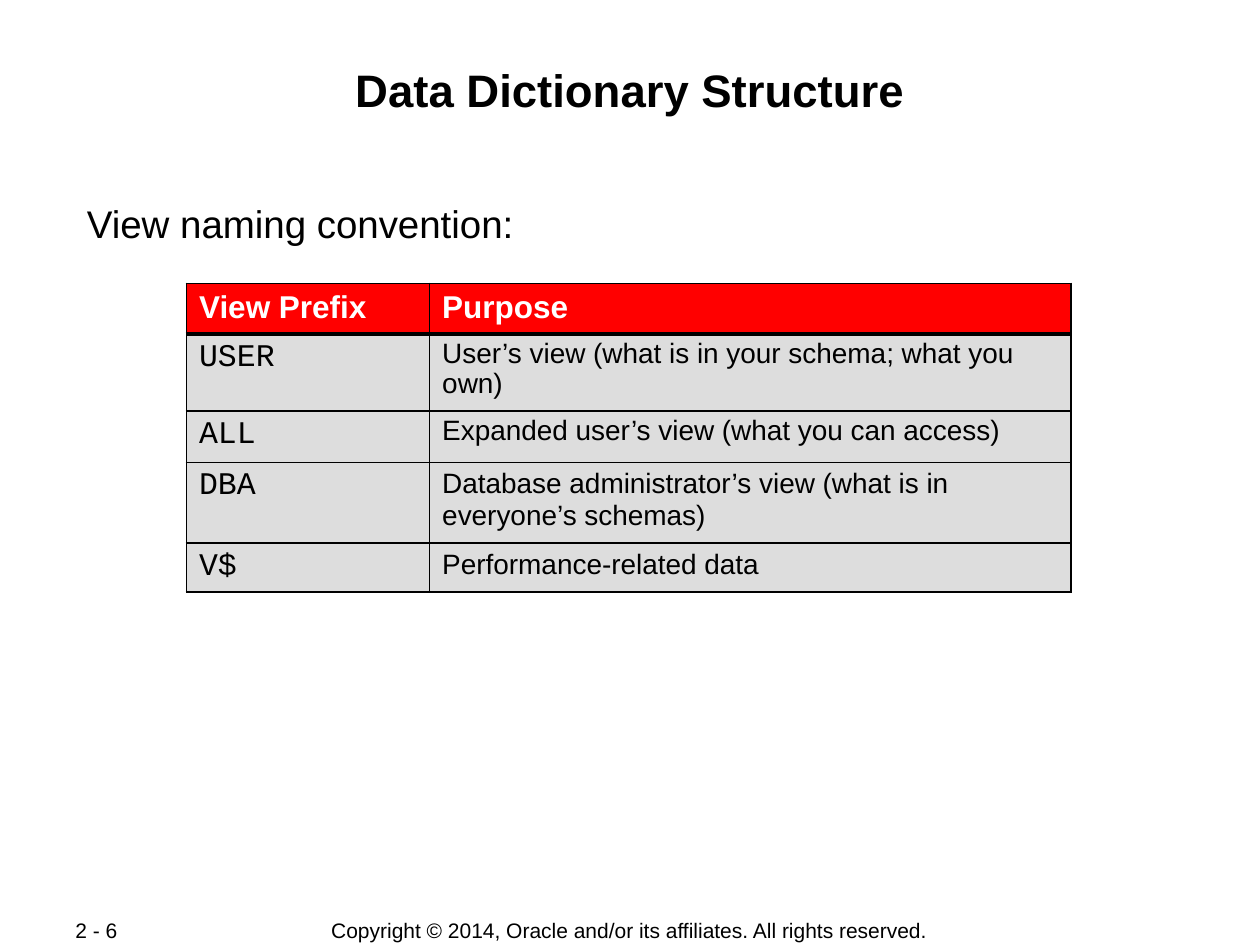
import pptx
import pptx.dml.color
import pptx.enum.text
import pptx.oxml
import pptx.oxml.ns
import pptx.util

Inches = pptx.util.Inches
Pt = pptx.util.Pt
Align = pptx.enum.text.PP_ALIGN
Anchor = pptx.enum.text.MSO_ANCHOR

BLACK = "000000"
WHITE = "FFFFFF"
RED = "FF0000"
GREY = "DDDDDD"
COPYRIGHT = "Copyright © 2014, Oracle and/or its affiliates. All rights reserved."
VIEWS = [
    ("USER", "User’s view (what is in your schema; what you own)", 0.95),
    ("ALL", "Expanded user’s view (what you can access)", 0.95),
    ("DBA", "Database administrator’s view (what is in everyone’s schemas)", 1.0),
    ("V$", "Performance-related data", 1.0),
]


def color(value):
    return pptx.dml.color.RGBColor.from_string(value)


class SlideBuilder:
    body_font = "Arial"
    code_font = "Courier New"

    def __init__(self, slide):
        self.slide = slide

    def add_run(self, paragraph, text, size, font=body_font, fill=BLACK, bold=False):
        run = paragraph.add_run()
        run.text = text
        run.font.name = font
        run.font.size = Pt(size)
        run.font.bold = bold
        run.font.color.rgb = color(fill)

    def add_text(self, text, box, size, align=Align.LEFT, anchor=Anchor.TOP,
                 side=0.01, bold=False):
        shape = self.slide.shapes.add_textbox(*map(Inches, box))
        frame = shape.text_frame
        frame.word_wrap = True
        frame.vertical_anchor = anchor
        frame.margin_left = frame.margin_right = Inches(side)
        frame.margin_top = frame.margin_bottom = Inches(0.01)
        paragraph = frame.paragraphs[0]
        paragraph.alignment = align
        self.add_run(paragraph, text, size, bold=bold)

    def add_border(self, cell, side, index, width):
        namespace = pptx.oxml.ns.nsdecls("a")
        line = pptx.oxml.parse_xml(
            f'<a:ln{side} {namespace} w="{Pt(width)}"><a:solidFill>'
            f'<a:srgbClr val="{BLACK}"/></a:solidFill></a:ln{side}>'
        )
        cell._tc.get_or_add_tcPr().insert(index, line)

    def fill_cell(self, cell, text, size, background, top=1.08, bottom=1.08,
                  spacing=1.0, **style):
        cell.margin_left = cell.margin_right = Inches(0.1)
        cell.margin_top = cell.margin_bottom = Inches(0.05)
        cell.fill.solid()
        cell.fill.fore_color.rgb = color(background)
        widths = {"L": 1.08, "R": 1.08, "T": top, "B": bottom}
        for index, (side, width) in enumerate(widths.items()):
            self.add_border(cell, side, index, width)
        paragraph = cell.text_frame.paragraphs[0]
        paragraph.line_spacing = spacing
        self.add_run(paragraph, text, size, **style)

    def add_view_table(self, left, top, widths, heights, headings, views):
        frame = self.slide.shapes.add_table(
            len(heights), len(widths), Inches(left), Inches(top),
            Inches(sum(widths)), Inches(sum(heights)))
        table = frame.table
        for column, width in zip(table.columns, widths):
            column.width = Inches(width)
        for row, height in zip(table.rows, heights):
            row.height = Inches(height)
        for index, heading in enumerate(headings):
            self.fill_cell(table.cell(0, index), heading, 18, RED,
                           bottom=2.21, fill=WHITE, bold=True)
        for index, (prefix, purpose, spacing) in enumerate(views, start=1):
            edge = 2.21 if index == 1 else 1.08
            self.fill_cell(table.cell(index, 0), prefix, 18, GREY, top=edge,
                           spacing=0.95, font=self.code_font)
            self.fill_cell(table.cell(index, 1), purpose, 16, GREY, top=edge,
                           spacing=spacing)


def main():
    presentation = pptx.Presentation()
    presentation.slide_width = Inches(10)
    presentation.slide_height = Inches(7.5)
    builder = SlideBuilder(presentation.slides.add_slide(presentation.slide_layouts[6]))
    builder.add_text(COPYRIGHT, (2.4, 7.28, 5.19, 0.21), 12, align=Align.CENTER,
                     anchor=Anchor.MIDDLE, side=0.1)
    builder.add_text("2 - 6", (0.5, 7.28, 1.06, 0.21), 12,
                     anchor=Anchor.MIDDLE, side=0.1)
    builder.add_text("Data Dictionary Structure", (0.67, 0.48, 8.66, 0.96), 26,
                     align=Align.CENTER, bold=True)
    builder.add_text("View naming convention:", (0.67, 1.58, 8.66, 0.4), 22,
                     side=0.02)
    builder.add_view_table(1.48, 2.25, [1.93, 5.09], [0.4, 0.61, 0.41, 0.64, 0.39],
                           ["View Prefix", "Purpose"], VIEWS)
    presentation.save("out.pptx")


if __name__ == "__main__":
    main()
